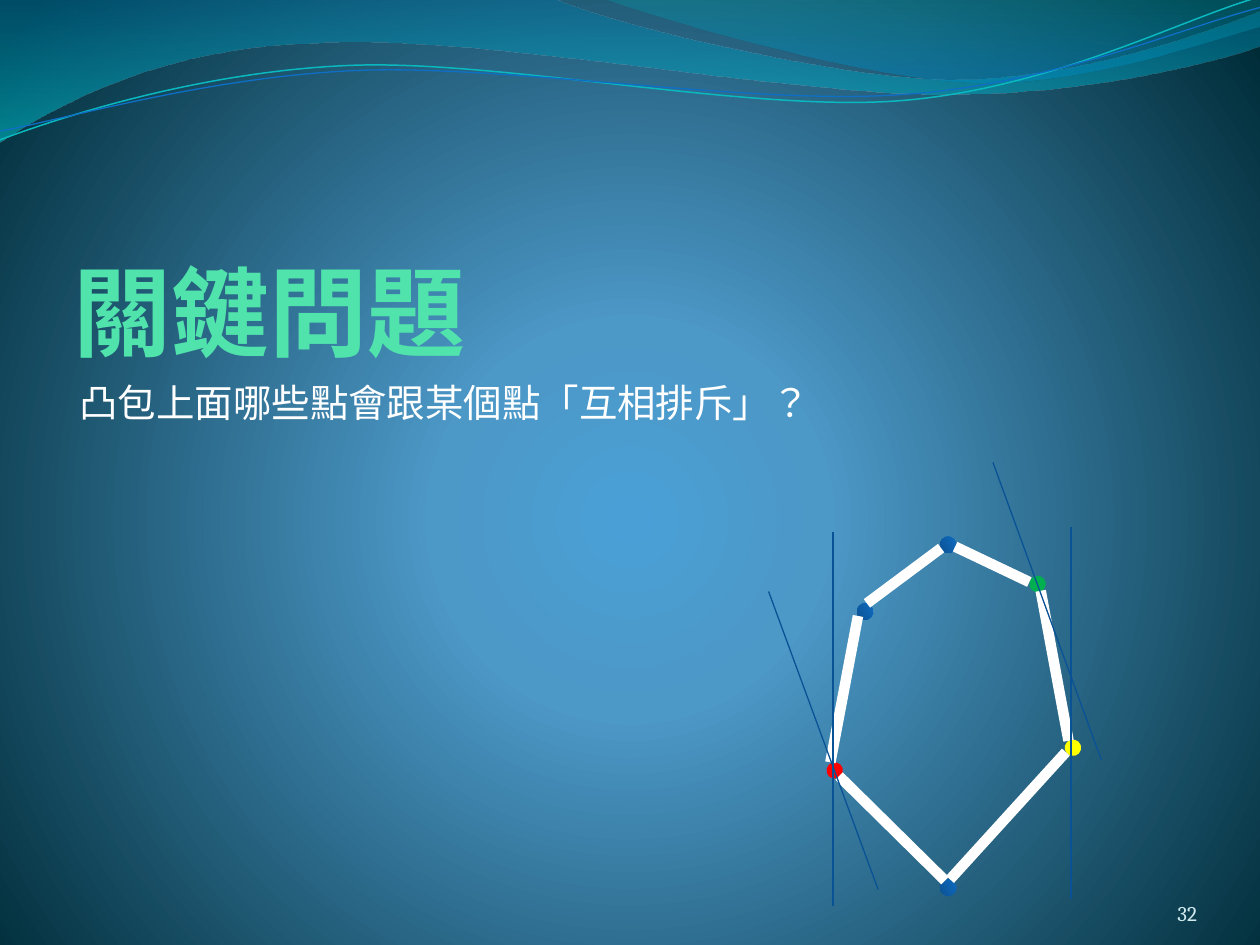
from math import cos, radians, sin

from lxml.etree import SubElement
from pptx import Presentation
from pptx.dml.color import RGBColor
from pptx.enum.shapes import MSO_CONNECTOR, MSO_SHAPE
from pptx.enum.text import MSO_ANCHOR, PP_ALIGN
from pptx.oxml.ns import qn
from pptx.util import Pt

WIDTH, HEIGHT = 720, 540
FONT = "Cambria"
RIPPLE_TURN = -2.7
NAVY = [(0, "0F6FC6", 100), (100, "0B4F8E", 100)]


def color(hex_code):
    """Turn a hex string into a colour."""
    return RGBColor.from_string(hex_code)


def paint_gradient(fill, element, stops, angle=None, focus=None):
    """Fill with (position, colour, opacity) stops, linear or circular."""
    fill.gradient()
    gradient = next(element.iter(qn("a:gradFill")))
    gradient.set("rotWithShape", "1")
    for child in list(gradient):
        gradient.remove(child)
    stop_list = SubElement(gradient, qn("a:gsLst"))
    for position, hex_code, opacity in stops:
        stop = SubElement(stop_list, qn("a:gs"), pos=str(position * 1000))
        tone = SubElement(stop, qn("a:srgbClr"), val=hex_code)
        if opacity < 100:
            SubElement(tone, qn("a:alpha"), val=str(opacity * 1000))
    if focus:
        circle = SubElement(gradient, qn("a:path"), path="circle")
        sides = {side: str(share * 1000) for side, share in zip("ltrb", focus)}
        SubElement(circle, qn("a:fillToRect"), **sides)
    else:
        SubElement(gradient, qn("a:lin"), ang=str(angle * 60000), scaled="0")


def turn(point, pivot, degrees):
    """Rotate a point clockwise around the pivot."""
    x, y = point[0] - pivot[0], point[1] - pivot[1]
    c, s = cos(radians(degrees)), sin(radians(degrees))
    return pivot[0] + x * c - y * s, pivot[1] + x * s + y * c


def add_outline(slide, box, start, segments, closed, pivot=(0, 0), rotation=0):
    """Draw a freeform of one-point lines and three-point curves."""
    left, top = box
    flat = [start] + [point for segment in segments for point in segment]
    turned = [turn(point, pivot, -rotation) for point in flat]
    points = [(Pt(left + x), Pt(top + y)) for x, y in turned]
    builder = slide.shapes.build_freeform(*points[0], scale=1.0)
    builder.add_line_segments(points[1:], close=closed)
    outline = builder.convert_to_shape()
    outline.rotation = rotation
    outline.shadow.inherit = False
    steps = iter(list(outline.element.iter(qn("a:lnTo"))))
    for segment in segments:
        first, *others = [next(steps) for _ in segment]
        if others:
            curve = first.makeelement(qn("a:cubicBezTo"))
            first.addprevious(curve)
            for step in (first, *others):
                curve.append(step[0])
                step.getparent().remove(step)
    return outline


def add_waves(slide, box):
    """Draw the two translucent waves and two thin curves of the header."""
    waves = [
        ((0, 0), [
            [(316.8, -0.7)],
            [(342.7, 12.2), (478.1, 45.4), (545.8, 45.4)],
            [(614.2, 45.4), (689.8, 18.7), (720, 6.5)],
            [(720.7, 25.9)],
            [(707, 31.7), (626.4, 54.7), (537.1, 54)],
            [(447.8, 54), (275, 20.2), (185, 24.5)],
            [(92.9, 25.9), (33.1, 59.8), (-0.7, 81.4)],
        ], [(0, "0074A1", 45), (100, "00C6CF", 55)]),
        ((344.9, -0.7), [
            [(366.5, 7.9), (491, 44.6), (553.7, 46.8)],
            [(616.3, 49.7), (691.9, 23), (720, 15.1)],
            [(720, 0)],
        ], [(0, "00A1A9", 30), (80, "008BBF", 45)]),
    ]
    for start, segments, stops in waves:
        wave = add_outline(slide, box, start, segments, True)
        paint_gradient(wave.fill, wave.element, stops, angle=90)
        wave.line.fill.background()

    ripples = [
        ((0, 79.9), [
            [(34.6, 67), (113.8, 41), (199.4, 37.4)],
            [(284.4, 33.8), (427, 64.1), (513.4, 57.6)],
            [(599.8, 51.1), (675.4, 10.8), (718.6, -1.4)],
        ], (359.3, 41.4), "0AB8BF", 0.85),
        ((0, 74.9), [
            [(33.8, 69.1), (118.1, 43.9), (203.8, 40.3)],
            [(290.2, 36.7), (429.8, 60.5), (516.2, 54)],
            [(601.9, 48.2), (677.5, 15.1), (720, 4.3)],
        ], (359.6, 42.5), "0F6FC6", 0.75),
    ]
    for start, segments, pivot, hex_code, weight in ripples:
        ripple = add_outline(slide, box, start, segments, False, pivot, RIPPLE_TURN)
        ripple.fill.background()
        ripple.line.color.rgb = color(hex_code)
        ripple.line.width = Pt(weight)


def add_text(slide, box, words, size, hex_code, inset=0, bold=False,
             anchor=MSO_ANCHOR.BOTTOM, align=PP_ALIGN.LEFT, before=0):
    """Write one paragraph inside the box."""
    holder = slide.shapes.add_textbox(*map(Pt, box))
    frame = holder.text_frame
    frame.word_wrap = True
    frame.vertical_anchor = anchor
    frame.margin_left = frame.margin_right = Pt(inset)
    frame.margin_top = frame.margin_bottom = Pt(inset)
    frame.text = words
    paragraph = frame.paragraphs[0]
    paragraph.alignment = align
    paragraph.space_before = Pt(before)
    font = paragraph.runs[0].font
    font.name, font.size, font.bold = FONT, Pt(size), bold
    font.color.rgb = color(hex_code)
    next(holder.element.iter(qn("a:rPr"))).set("lang", "zh-TW")


def add_heading(slide, box):
    """Write the title and the question below it."""
    left, top, width = box
    add_text(slide, (left, top, width, 107.3), "關鍵問題", 56, "50E3AC", bold=True)
    add_text(slide, (left, top + 109.4, width, 118.8),
             "凸包上面哪些點會跟某個點「互相排斥」？", 22, "FFFFFF",
             inset=3.6, anchor=MSO_ANCHOR.TOP, before=4.4)


def add_hull(slide, box):
    """Draw the convex hull with its vertices, edges and support lines."""
    left, top = box
    vertices = [
        (149, 64.8, "00B050"), (169.2, 158.4, "FFFF00"), (97.9, 42.5, None),
        (50.4, 80.6, None), (33.1, 171.4, "FF0000"), (97.9, 238.3, None),
    ]
    for x, y, hex_code in vertices:
        vertex = slide.shapes.add_shape(
            MSO_SHAPE.OVAL, Pt(left + x), Pt(top + y), Pt(9.4), Pt(9.4))
        vertex.rotation = 104.4
        vertex.shadow.inherit = False
        vertex.line.fill.background()
        if hex_code:
            vertex.fill.solid()
            vertex.fill.fore_color.rgb = color(hex_code)
        else:
            paint_gradient(vertex.fill, vertex.element, NAVY, angle=45)

    edges = [
        (149, 68.4, 106.6, 48.2), (171.4, 159.1, 155.5, 73.4),
        (103.7, 238.3, 169.9, 165.6), (100.8, 239, 40.3, 179.3),
        (35.3, 171.4, 51.1, 87.8), (56.2, 80.6, 98.6, 49),
    ]
    supports = [
        (36.9, 253.4, 36.9, 39.6), (62.6, 244.1, 0, 73.8),
        (190.1, 169.9, 128.2, 0), (172.8, 249.8, 172.8, 36.7),
    ]
    for group, hex_code, weight in ((edges, "FFFFFF", 6), (supports, "095295", 0.75)):
        for x1, y1, x2, y2 in group:
            side = slide.shapes.add_connector(
                MSO_CONNECTOR.STRAIGHT, Pt(left + x1), Pt(top + y1),
                Pt(left + x2), Pt(top + y2))
            side.line.color.rgb = color(hex_code)
            side.line.width = Pt(weight)
            SubElement(side.element.spPr, qn("a:effectLst"))


def build():
    """Build the slide and save it."""
    deck = Presentation()
    deck.slide_width, deck.slide_height = Pt(WIDTH), Pt(HEIGHT)
    slide = deck.slides.add_slide(deck.slide_layouts[6])
    paint_gradient(slide.background.fill, slide.element,
                   [(0, "4AA0D6", 100), (25, "4C98C7", 100), (100, "002C38", 100)],
                   focus=(10, 110, 10, 100))
    add_waves(slide, (0, 0))
    add_heading(slide, (41.8, 103.7, 612))
    add_text(slide, (624.2, 500.4, 59.8, 28.8), "32", 12, "D1EAEE",
             align=PP_ALIGN.RIGHT)
    add_hull(slide, (439.2, 264.2))
    deck.save("out.pptx")


build()
